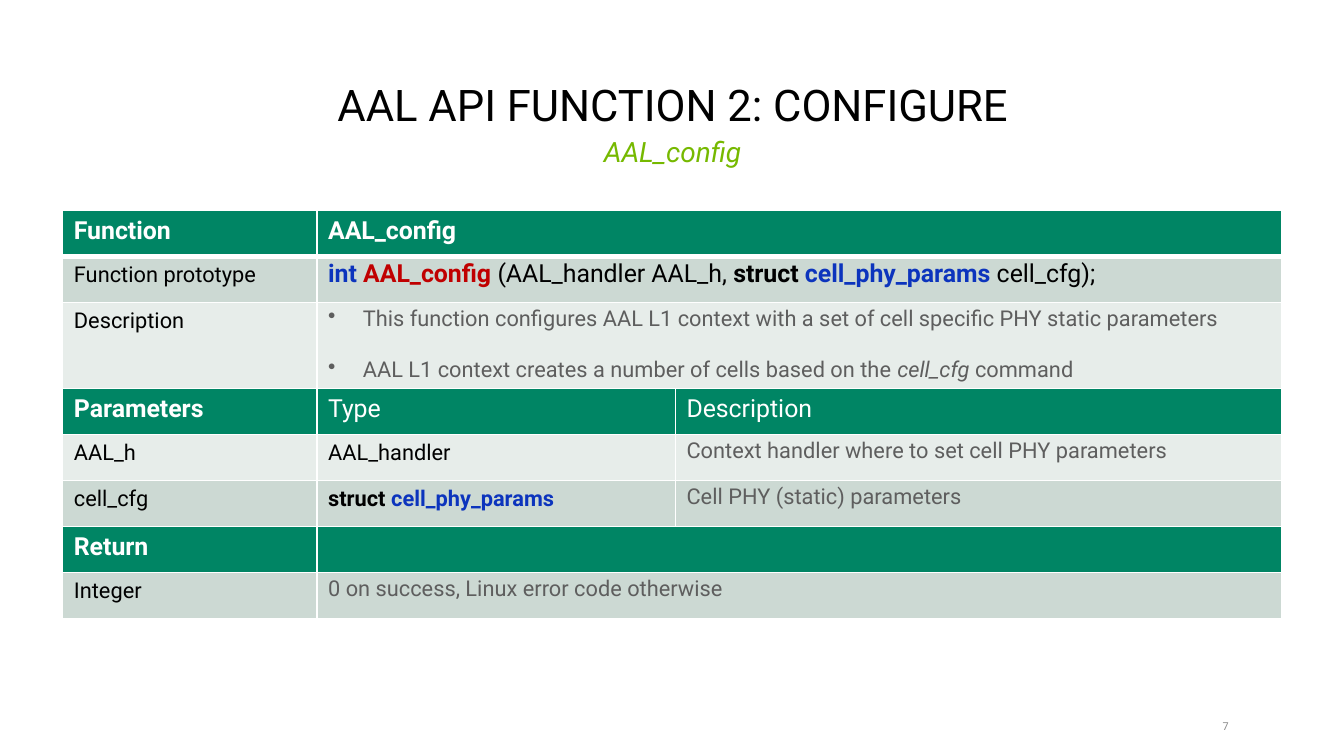
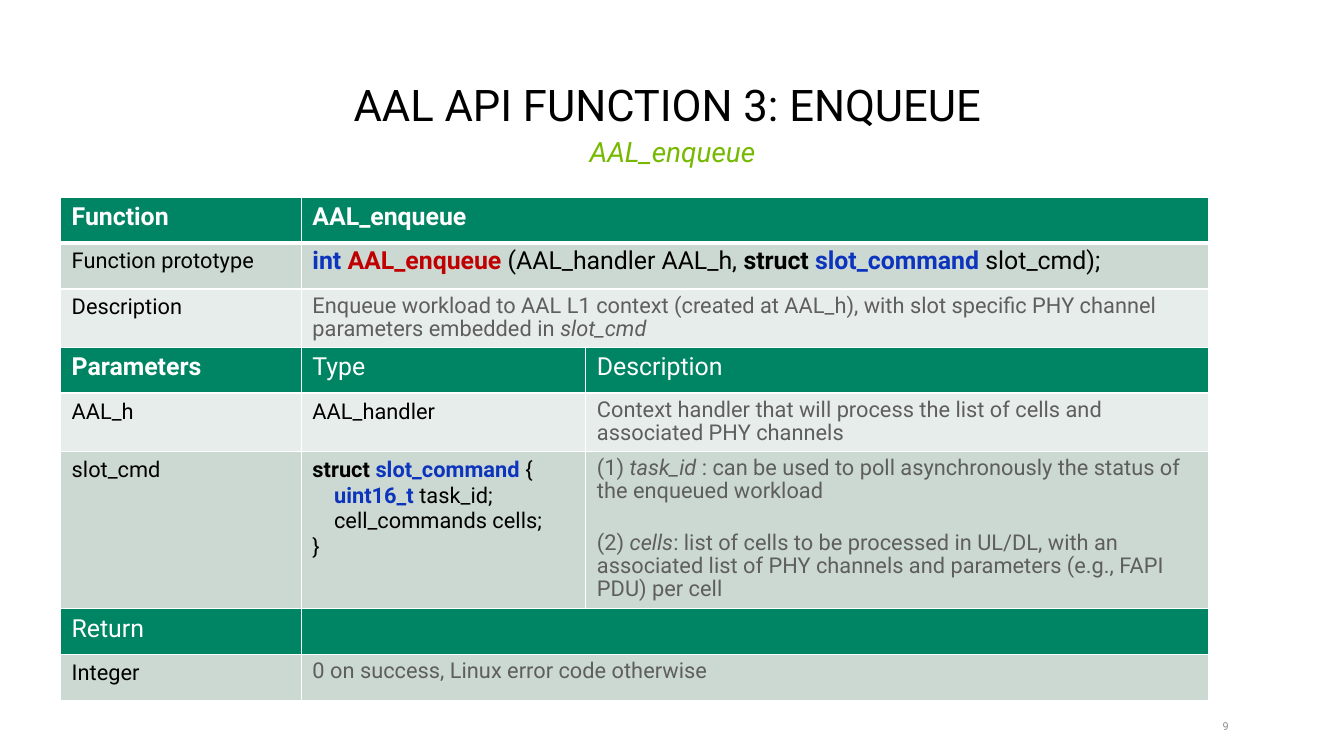
from dataclasses import dataclass
from typing import Optional

from lxml.etree import SubElement
from pptx import Presentation
from pptx.dml.color import RGBColor
from pptx.enum.text import MSO_ANCHOR as Anchor, PP_ALIGN as Align
from pptx.oxml.ns import qn
from pptx.util import Inches, Pt

FONT = "Roboto"
WHITE, BLACK, GREY, PAGE_GREY = "FFFFFF", "000000", "5E5E5E", "8C8C8C"
GREEN, LIME, SAGE, MIST = "008564", "76B900", "CCD9D3", "E7EDEA"
BLUE, RED = "0C34BD", "C00000"
ROW_HEIGHT = 0.41
BULLET_INDENT = Inches(0.31)


@dataclass(frozen=True)
class Style:
    """Look of a paragraph; runs may override colour, bold and italic."""
    size: float
    color: str
    bold: bool = False
    italic: bool = False
    align: Align = Align.LEFT
    line_spacing: Optional[float] = None
    gap: float = 0
    bullet: bool = False


@dataclass(frozen=True)
class Run:
    text: str
    color: Optional[str] = None
    bold: Optional[bool] = None
    italic: Optional[bool] = None


Lines = tuple[tuple[Run, ...], ...]

TITLE = Style(28, BLACK, align=Align.CENTER, line_spacing=0.9)
SUBTITLE = Style(18, LIME, italic=True, align=Align.CENTER, line_spacing=0.9, gap=9)
PAGE_NUMBER = Style(7, PAGE_GREY, align=Align.RIGHT)
HEADER = Style(16, WHITE, bold=True)
SUBHEADER = Style(16, WHITE)
LABEL = Style(14, BLACK)
PROTOTYPE = Style(16, BLACK, line_spacing=0.9, gap=9)
NOTE = Style(14, GREY, line_spacing=0.9, gap=9)
BULLETS = Style(14, GREY, line_spacing=0.9, gap=9, bullet=True)


@dataclass(frozen=True)
class CellText:
    lines: Lines
    style: Style


@dataclass(frozen=True)
class Row:
    """Two cells mean that the second one spans the last two columns."""
    fill: str
    cells: tuple[CellText, ...]
    height: float = ROW_HEIGHT


@dataclass(frozen=True)
class ApiFunction:
    title: str
    name: str
    struct_name: str
    argument: str
    page: int
    left: float
    top: float
    columns: tuple[float, ...]
    description: CellText
    description_height: float
    handler_note: str
    handler_height: float
    argument_type: Lines
    argument_note: Lines
    argument_height: float
    return_style: Style


def plain(text: str, style: Style) -> CellText:
    return CellText(((Run(text),),), style)


def color(value: str) -> RGBColor:
    return RGBColor.from_string(value)


def add_bullet(paragraph) -> None:
    properties = paragraph._p.get_or_add_pPr()
    properties.set("marL", str(BULLET_INDENT))
    properties.set("indent", str(-BULLET_INDENT))
    bullet_color = SubElement(properties, qn("a:buClr"))
    SubElement(bullet_color, qn("a:srgbClr"), val=GREY)
    SubElement(properties, qn("a:buChar"), char="•")


def add_run(paragraph, run: Run, style: Style) -> None:
    for index, piece in enumerate(run.text.split("\n")):
        if index:
            paragraph.add_line_break()
        text_run = paragraph.add_run()
        text_run.text = piece
        formats = {
            "name": FONT,
            "size": Pt(style.size),
            "bold": style.bold if run.bold is None else run.bold,
            "italic": style.italic if run.italic is None else run.italic,
        }
        for attribute, value in formats.items():
            setattr(text_run.font, attribute, value)
        text_run.font.color.rgb = color(run.color or style.color)


def write_text(frame, content: CellText) -> None:
    style = content.style
    for index, runs in enumerate(content.lines):
        paragraph = frame.add_paragraph() if index else frame.paragraphs[0]
        formats = {
            "alignment": style.align,
            "line_spacing": style.line_spacing,
            "space_before": Pt(style.gap if index else 0),
            "space_after": Pt(style.gap),
        }
        for attribute, value in formats.items():
            setattr(paragraph, attribute, value)
        if style.bullet:
            add_bullet(paragraph)
        for run in runs:
            add_run(paragraph, run, style)


def add_text(slide, left: float, top: float, width: float, height: float,
             content: CellText, anchor: Anchor = Anchor.TOP):
    box = slide.shapes.add_textbox(Inches(left), Inches(top), Inches(width), Inches(height))
    frame = box.text_frame
    frame.word_wrap = True
    frame.vertical_anchor = anchor
    write_text(frame, content)
    return frame


def add_page_number(slide, page: int) -> None:
    frame = add_text(slide, 10.66, 6.41, 0.35, 0.15,
                     plain(str(page), PAGE_NUMBER), Anchor.MIDDLE)
    margins = {"margin_left": 0, "margin_top": 0, "margin_right": 0.04, "margin_bottom": 0}
    for attribute, value in margins.items():
        setattr(frame, attribute, Inches(value))


def set_borders(cell, top: float, bottom: float) -> None:
    properties = cell._tc.get_or_add_tcPr()
    for side, width in {"lnL": 1, "lnR": 1, "lnT": top, "lnB": bottom}.items():
        line = SubElement(properties, qn(f"a:{side}"), w=str(Pt(width)))
        fill = SubElement(line, qn("a:solidFill"))
        SubElement(fill, qn("a:srgbClr"), val=WHITE)


def add_table(slide, left: float, top: float, columns: tuple[float, ...],
              rows: list[Row]) -> None:
    table = slide.shapes.add_table(
        len(rows), len(columns), Inches(left), Inches(top),
        Inches(sum(columns)), Inches(sum(row.height for row in rows))).table
    table.first_row = table.horz_banding = False
    for column, width in zip(table.columns, columns):
        column.width = Inches(width)
    for index, row in enumerate(rows):
        table.rows[index].height = Inches(row.height)
        cells = list(table.rows[index].cells)
        for cell in cells:
            set_borders(cell, top=3 if index == 1 else 1, bottom=3 if index == 0 else 1)
            cell.fill.solid()
            cell.fill.fore_color.rgb = color(row.fill)
        if len(row.cells) < len(columns):
            cells[1].merge(cells[-1])
        for cell, content in zip(cells, row.cells):
            write_text(cell.text_frame, content)


def table_rows(function: ApiFunction) -> list[Row]:
    prototype = (
        Run("int ", BLUE, True),
        Run(f"{function.name} ", RED, True),
        Run("(AAL_handler AAL_h, "),
        Run("struct ", bold=True),
        Run(function.struct_name, BLUE, True),
        Run(f" {function.argument});"),
    )
    return [
        Row(GREEN, (plain("Function", HEADER), plain(function.name, HEADER))),
        Row(SAGE, (plain("Function prototype", LABEL), CellText((prototype,), PROTOTYPE))),
        Row(MIST, (plain("Description", LABEL), function.description),
            function.description_height),
        Row(GREEN, (plain("Parameters", HEADER), plain("Type", SUBHEADER),
                    plain("Description", SUBHEADER))),
        Row(MIST, (plain("AAL_h", LABEL), plain("AAL_handler", LABEL),
                   plain(function.handler_note, NOTE)), function.handler_height),
        Row(SAGE, (plain(function.argument, LABEL), CellText(function.argument_type, LABEL),
                   CellText(function.argument_note, NOTE)), function.argument_height),
        Row(GREEN, (plain("Return", function.return_style), CellText((), HEADER))),
        Row(SAGE, (plain("Integer", LABEL),
                   plain("0 on success, Linux error code otherwise", NOTE))),
    ]


def add_function_slide(presentation, function: ApiFunction) -> None:
    slide = presentation.slides.add_slide(presentation.slide_layouts[6])
    add_page_number(slide, function.page)
    add_text(slide, 0.55, 0.57, 10.91, 0.65, plain(function.title, TITLE), Anchor.BOTTOM)
    add_text(slide, 0.55, 1.19, 10.91, 0.57, plain(function.name, SUBTITLE))
    add_table(slide, function.left, function.top, function.columns, table_rows(function))


CONFIGURE = ApiFunction(
    title="AAL API FUNCTION 2: CONFIGURE",
    name="AAL_config", struct_name="cell_phy_params", argument="cell_cfg",
    page=7, left=0.56, top=1.88, columns=(2.27, 3.2, 5.41),
    description=CellText((
        (Run("This function configures AAL L1 context with a set of cell specific "
             "PHY static parameters"),),
        (Run("AAL L1 context creates a number of cells based on the "),
         Run("cell_cfg ", italic=True), Run("command")),
    ), BULLETS),
    description_height=0.76,
    handler_note="Context handler where to set cell PHY parameters",
    handler_height=ROW_HEIGHT,
    argument_type=((Run("struct ", bold=True), Run("cell_phy_params", BLUE, True)),),
    argument_note=((Run("Cell PHY (static) parameters"),),),
    argument_height=ROW_HEIGHT,
    return_style=HEADER,
)

ENQUEUE = ApiFunction(
    title="AAL API FUNCTION 3: ENQUEUE ",
    name="AAL_enqueue", struct_name="slot_command", argument="slot_cmd",
    page=9, left=0.54, top=1.76, columns=(2.15, 2.54, 5.56),
    description=CellText((
        (Run("Enqueue workload to AAL L1 context (created at AAL_h), with slot specific "
             "PHY channel parameters embedded in "), Run("slot_cmd", italic=True)),
    ), NOTE),
    description_height=0.52,
    handler_note="Context handler that will process the list of cells and "
                 "associated PHY channels",
    handler_height=0.52,
    argument_type=(
        (Run("struct ", bold=True), Run("slot_command ", BLUE, True), Run("{")),
        (Run("    "), Run("uint16_t", BLUE, True),
         Run(" task_id;\n    cell_commands cells;")),
        (Run("}"),),
    ),
    argument_note=(
        (Run("(1) "), Run("task_id ", italic=True),
         Run(": can be used to poll asynchronously the status of the enqueued workload")),
        (Run("(2) "), Run("cells", italic=True),
         Run(": list of cells to be processed in UL/DL, with an associated list of "
             "PHY channels and parameters (e.g., FAPI PDU) per cell")),
    ),
    argument_height=1.38,
    return_style=SUBHEADER,
)


def main() -> None:
    presentation = Presentation()
    presentation.slide_width = Inches(12)
    presentation.slide_height = Inches(6.75)
    for function in (CONFIGURE, ENQUEUE):
        add_function_slide(presentation, function)
    presentation.save("out.pptx")


if __name__ == "__main__":
    main()
